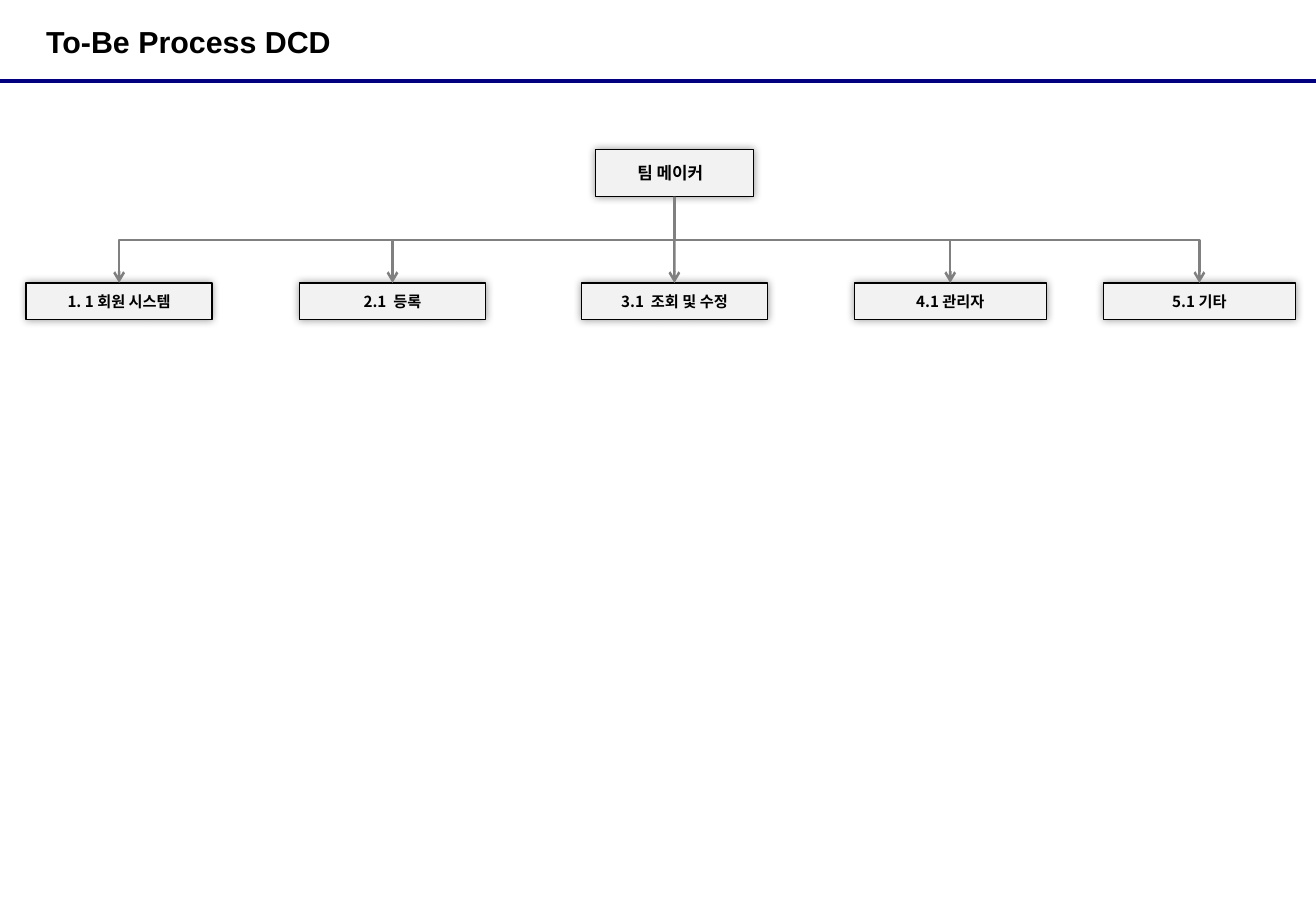
from lxml import etree
from pptx import Presentation
from pptx.dml.color import RGBColor
from pptx.enum.shapes import MSO_CONNECTOR, MSO_SHAPE
from pptx.enum.text import MSO_ANCHOR, PP_ALIGN
from pptx.oxml.ns import qn
from pptx.util import Inches, Pt

RECTANGLE = MSO_SHAPE.RECTANGLE
STRAIGHT, ELBOW = MSO_CONNECTOR.STRAIGHT, MSO_CONNECTOR.ELBOW
MIDDLE = MSO_ANCHOR.MIDDLE
LEFT, CENTER = PP_ALIGN.LEFT, PP_ALIGN.CENTER
BOTTOM_SITE, TOP_SITE = 2, 0

# Content: each process has a label, centre and width in inches
TITLE = "To-Be Process DCD"
SYSTEM = "팀 메이커"
SYSTEM_CENTER = 5.55
PROCESSES = [
    ("1. 1 회원 시스템", 0.98, 1.53),
    ("2.1  등록", 3.23, 1.53),
    ("3.1  조회 및 수정", SYSTEM_CENTER, 1.53),
    ("4.1 관리자", 7.82, 1.58),
    ("5.1 기타", 9.87, 1.58),
]

# Style and layout
COLORS = {"text": "000000", "rule": "000080", "fill": "F2F2F2",
          "border": "000000", "arrow": "808080"}
TITLE_FONT, BOX_FONT = "Arial", "Noto Sans CJK KR"
PAGE_WIDTH, PAGE_HEIGHT = 10.83, 7.5
RULE_TOP = 0.67
SYSTEM_TOP, SYSTEM_WIDTH, SYSTEM_HEIGHT = 1.23, 1.3, 0.39
SYSTEM_BOTTOM = SYSTEM_TOP + SYSTEM_HEIGHT
PROCESS_TOP, PROCESS_HEIGHT = 2.33, 0.3


def color(name):
    return RGBColor.from_string(COLORS[name])


def format_text(frame, size, font, align):
    frame.vertical_anchor = MIDDLE
    para = frame.paragraphs[0]
    para.alignment = align
    span = para.runs[0]
    span.font.size, span.font.name, span.font.bold = Pt(size), font, True
    span.font.color.rgb = color("text")
    east_asian = etree.SubElement(span.font._element, qn("a:ea"))
    east_asian.set("typeface", font)


def add_box(label, center, top, width, height, size):
    box = page.shapes.add_shape(RECTANGLE, Inches(center - width / 2),
                                Inches(top), Inches(width), Inches(height))
    box.fill.solid()
    box.fill.fore_color.rgb = color("fill")
    box.line.color.rgb = color("border")
    box.line.width = Pt(0.75)
    box.shadow.inherit = False
    effects = box._element.spPr.find(qn("a:effectLst"))
    glow = etree.SubElement(effects, qn("a:outerShdw"), blurRad=str(Pt(5)),
                            dist="0", dir="0", algn="ctr", rotWithShape="0")
    tint = etree.SubElement(glow, qn("a:srgbClr"), val=COLORS["border"])
    etree.SubElement(tint, qn("a:alpha"), val="40000")
    box.text_frame.text = label
    format_text(box.text_frame, size, BOX_FONT, CENTER)
    return box


def add_line(kind, start, end, color_name, width):
    line = page.shapes.add_connector(kind, *map(Inches, start + end))
    line.line.color.rgb = color(color_name)
    line.line.width = Pt(width)
    etree.SubElement(line._element.spPr, qn("a:effectLst"))
    return line


def add_arrow(system, process, center):
    shift = center - SYSTEM_CENTER
    drop = PROCESS_TOP - SYSTEM_BOTTOM
    arrow = add_line(ELBOW if shift else STRAIGHT, (SYSTEM_CENTER, SYSTEM_BOTTOM),
                     (center, PROCESS_TOP), "arrow", 1.5)
    etree.SubElement(arrow.line._get_or_add_ln(), qn("a:tailEnd"), type="arrow")
    arrow.begin_connect(system, BOTTOM_SITE)
    arrow.end_connect(process, TOP_SITE)
    if shift:
        # A quarter turn makes the elbow leave downwards
        frame = arrow._element.spPr.find(qn("a:xfrm"))
        frame.set("rot", str((270 if shift > 0 else 90) * 60000))
        frame.set("flipH", "1" if shift > 0 else "0")
        frame.set("flipV", "0")
        arrow.left = Inches((SYSTEM_CENTER + center - drop) / 2)
        arrow.top = Inches((SYSTEM_BOTTOM + PROCESS_TOP - abs(shift)) / 2)
        arrow.width, arrow.height = Inches(drop), Inches(abs(shift))


deck = Presentation()
deck.slide_width, deck.slide_height = Inches(PAGE_WIDTH), Inches(PAGE_HEIGHT)
page = deck.slides.add_slide(deck.slide_layouts[5])

# Title and rule
add_line(STRAIGHT, (0, RULE_TOP), (PAGE_WIDTH, RULE_TOP), "rule", 2.25)
title = page.shapes.title
title.left, title.top = Inches(0.38), 0
title.width, title.height = Inches(7.08), Inches(0.68)
frame = title.text_frame
frame.margin_left = frame.margin_right = frame.margin_top = frame.margin_bottom = 0
frame.text = TITLE
format_text(frame, 18, TITLE_FONT, LEFT)

# System box, process boxes and arrows
system = add_box(SYSTEM, SYSTEM_CENTER, SYSTEM_TOP, SYSTEM_WIDTH, SYSTEM_HEIGHT, 10)
system.text_frame.margin_left = Inches(0.03)
for label, center, width in PROCESSES:
    process = add_box(label, center, PROCESS_TOP, width, PROCESS_HEIGHT, 9)
    add_arrow(system, process, center)

deck.save("out.pptx")
